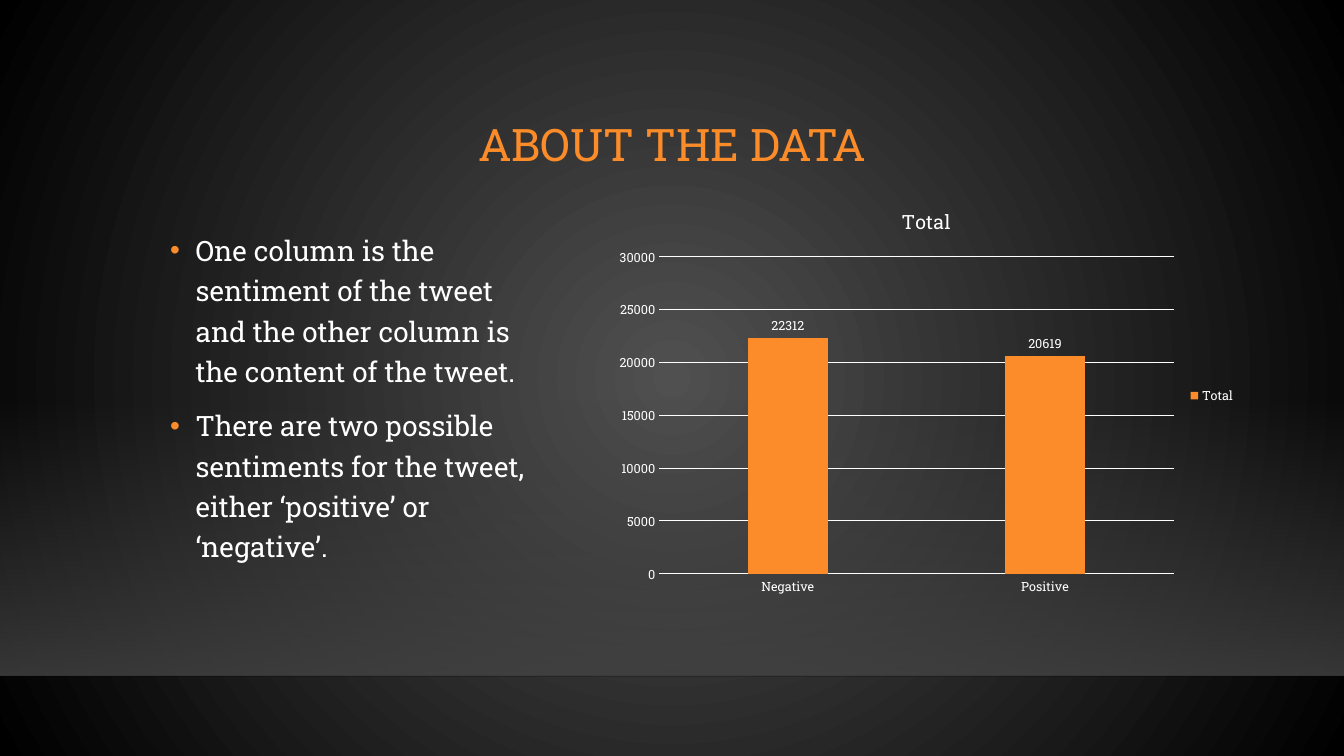
from lxml import etree
from pptx import Presentation
from pptx.chart.data import CategoryChartData
from pptx.dml.color import RGBColor
from pptx.enum.chart import XL_CHART_TYPE, XL_LABEL_POSITION, XL_LEGEND_POSITION, XL_TICK_MARK
from pptx.enum.shapes import MSO_CONNECTOR, MSO_SHAPE
from pptx.enum.text import MSO_ANCHOR, MSO_AUTO_SIZE, PP_ALIGN
from pptx.oxml.ns import qn
from pptx.util import Cm, Pt

COLUMN_CLUSTERED = XL_CHART_TYPE.COLUMN_CLUSTERED
OUTSIDE_END = XL_LABEL_POSITION.OUTSIDE_END
LEGEND_RIGHT = XL_LEGEND_POSITION.RIGHT
NO_TICK = XL_TICK_MARK.NONE
STRAIGHT = MSO_CONNECTOR.STRAIGHT
RECTANGLE = MSO_SHAPE.RECTANGLE
MIDDLE = MSO_ANCHOR.MIDDLE
NO_AUTOFIT = MSO_AUTO_SIZE.NONE
LEFT, CENTER = PP_ALIGN.LEFT, PP_ALIGN.CENTER

ORANGE = RGBColor(0xFB, 0x8C, 0x29)
WHITE = RGBColor(0xFF, 0xFF, 0xFF)
BLACK = RGBColor(0x00, 0x00, 0x00)
GLOW_GREY = RGBColor(0x50, 0x50, 0x50)
FLOOR_GREY = RGBColor(0x45, 0x45, 0x45)
EDGE_BLACK = RGBColor(0x00, 0x00, 0x01)

FONT = "Roboto Slab"
SLIDE_WIDTH, SLIDE_HEIGHT = Cm(33.87), Cm(19.05)
FLOOR_TOP, FLOOR_HEIGHT, EDGE_TOP = Cm(10.06), Cm(6.96), Cm(17.04)
BULLET_INDENT = Cm(0.64)

FACTS = [
    "One column is the sentiment of the tweet and the other column is the content of the tweet.",
    "There are two possible sentiments for the tweet, either ‘positive’ or ‘negative’.",
]
SENTIMENT_COUNTS = {"Negative": 22312, "Positive": 20619}


def style_font(font, size, color=WHITE):
    font.name = FONT
    font.size = Pt(size)
    font.bold = False
    font.color.rgb = color


def add_alpha(color_element, percent):
    etree.SubElement(color_element, qn("a:alpha"), val=str(percent * 1000))


def set_gradient(fill, owner, colors, alphas=(), radial=False):
    """Fill from first to last colour, downwards or out from the centre."""
    fill.gradient()
    for stop, color, position in zip(fill.gradient_stops, colors, (0, 1)):
        stop.color.rgb = color
        stop.position = position
    gradient = owner.xpath(".//a:gradFill")[0]
    for color_element, alpha in zip(gradient.iter(qn("a:srgbClr")), alphas):
        add_alpha(color_element, alpha)
    direction = gradient.find(qn("a:lin"))
    direction.set("ang", str(90 * 60000))
    if radial:
        circle = etree.Element(qn("a:path"), path="circle")
        edges = dict.fromkeys("ltrb", "50000")
        etree.SubElement(circle, qn("a:fillToRect"), edges)
        gradient.replace(direction, circle)


def write_text(para, text, size, color=WHITE, align=LEFT, line_spacing=1.0,
               space_before=0, bullet_color=None):
    para.alignment = align
    para.line_spacing = line_spacing
    para.space_before = Pt(space_before)
    span = para.add_run()
    span.text = text
    style_font(span.font, size, color)
    if bullet_color is not None:
        properties = para._p.get_or_add_pPr()
        properties.set("marL", str(BULLET_INDENT))
        properties.set("indent", str(-BULLET_INDENT))
        bullet = etree.SubElement(properties, qn("a:buClr"))
        etree.SubElement(bullet, qn("a:srgbClr"), val=str(bullet_color))
        etree.SubElement(properties, qn("a:buFont"), typeface="Arial")
        etree.SubElement(properties, qn("a:buChar"), char="•")


def add_backdrop(page):
    # Radial glow
    set_gradient(page.background.fill, page.element, (GLOW_GREY, BLACK), radial=True)

    # Floor fading in towards its lower edge
    floor = page.shapes.add_shape(RECTANGLE, 0, FLOOR_TOP, SLIDE_WIDTH, FLOOR_HEIGHT)
    floor.shadow.inherit = False
    floor.line.fill.background()
    set_gradient(floor.fill, floor.element, (FLOOR_GREY, FLOOR_GREY), alphas=(0, 80))

    # Faint line under the floor
    edge = page.shapes.add_connector(STRAIGHT, 0, EDGE_TOP, SLIDE_WIDTH, EDGE_TOP)
    edge.line.width = Pt(1)
    edge.line.color.rgb = EDGE_BLACK
    add_alpha(edge.element.xpath(".//a:srgbClr")[0], 20)
    etree.SubElement(edge.element.spPr, qn("a:effectLst"))


def set_title(page, text):
    title = page.shapes.title
    title.left, title.top, title.width, title.height = Cm(4.04), Cm(2.24), Cm(25.81), Cm(2.92)
    frame = title.text_frame
    frame.vertical_anchor = MIDDLE
    frame.auto_size = NO_AUTOFIT
    write_text(frame.paragraphs[0], text, 32, color=ORANGE, align=CENTER, line_spacing=0.9)


def add_bullets(page, facts):
    box = page.shapes.add_textbox(Cm(4.04), Cm(5.59), Cm(9.47), Cm(9.58))
    frame = box.text_frame
    frame.word_wrap = True
    for index, fact in enumerate(facts):
        para = frame.add_paragraph() if index else frame.paragraphs[0]
        write_text(para, fact, 20, line_spacing=1.2, space_before=10, bullet_color=ORANGE)


def style_line(line):
    line.color.rgb = WHITE
    line.width = Pt(0.75)


def add_sentiment_chart(page, counts):
    data = CategoryChartData()
    data.categories = list(counts)
    data.add_series("Total", list(counts.values()))
    chart = page.shapes.add_chart(
        COLUMN_CLUSTERED, Cm(15.29), Cm(4.75), Cm(16.1), Cm(10.44), data).chart
    style_font(chart.font, 10)

    # Title and legend
    chart.has_title = True
    write_text(chart.chart_title.text_frame.paragraphs[0], "Total", 14, align=CENTER)
    chart.chart_title.include_in_layout = False
    chart.has_legend = True
    chart.legend.position = LEGEND_RIGHT
    chart.legend.include_in_layout = False
    style_font(chart.legend.font, 9)

    # Axes
    for axis in (chart.category_axis, chart.value_axis):
        axis.major_tick_mark = axis.minor_tick_mark = NO_TICK
        style_font(axis.tick_labels.font, 9)
    style_line(chart.category_axis.format.line)
    values = chart.value_axis
    values.minimum_scale, values.maximum_scale, values.major_unit = 0, 30000, 5000
    values.format.line.fill.background()
    style_line(values.major_gridlines.format.line)

    # Columns and their labels
    plot = chart.plots[0]
    plot.vary_by_categories = False
    plot.gap_width, plot.overlap = 219, -27
    series = plot.series[0]
    series.format.fill.solid()
    series.format.fill.fore_color.rgb = ORANGE
    labels = series.data_labels
    labels.show_value = True
    labels.position = OUTSIDE_END
    style_font(labels.font, 9)


def main():
    deck = Presentation()
    deck.slide_width, deck.slide_height = SLIDE_WIDTH, SLIDE_HEIGHT
    page = deck.slides.add_slide(deck.slide_layouts.get_by_name("Title Only"))
    add_backdrop(page)
    set_title(page, "ABOUT THE DATA")
    add_bullets(page, FACTS)
    add_sentiment_chart(page, SENTIMENT_COUNTS)
    deck.save("out.pptx")


if __name__ == "__main__":
    main()
